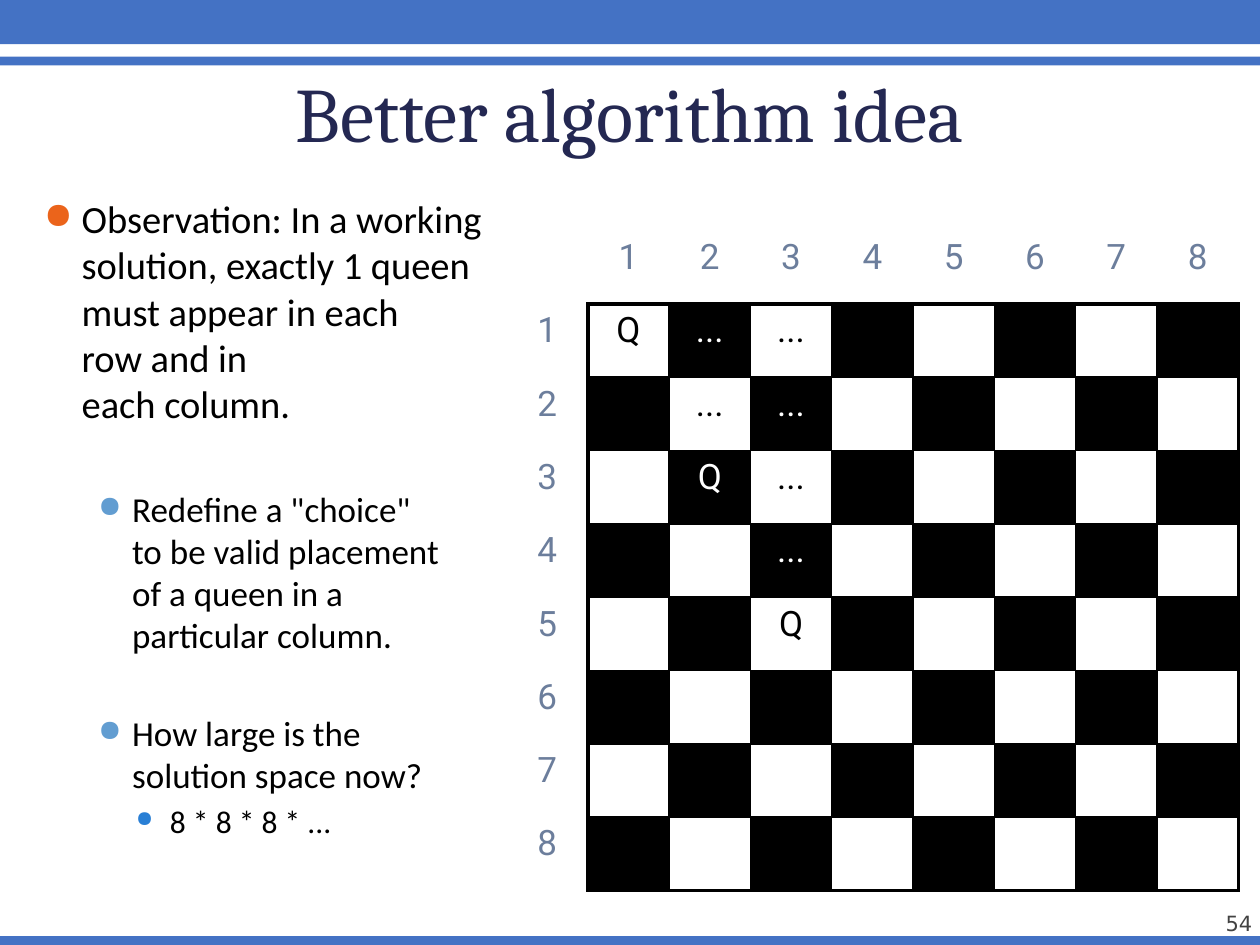
from lxml import etree
from pptx import Presentation
from pptx.dml.color import RGBColor
from pptx.enum import shapes, text
from pptx.oxml import ns
from pptx.util import Inches, Pt

TITLE = "Better algorithm idea"
PAGE_NUMBER = "54"
# level, space before in points, text
POINTS = [
    (0, 0, "Observation: In a working\nsolution, exactly 1 queen\n"
           "must appear in each\nrow and in\neach column."),
    (1, 35, 'Redefine a "choice"\nto be valid placement\n'
            "of a queen in a\nparticular column."),
    (1, 32, "How large is the\nsolution space now?"),
    (2, 3.6, "8 * 8 * 8 * ..."),
]
BOARD_SIZE = 8
# (row, column): mark
MARKS = {
    (1, 1): "Q", (1, 2): "...", (1, 3): "...",
    (2, 2): "...", (2, 3): "...",
    (3, 2): "Q", (3, 3): "...",
    (4, 3): "...",
    (5, 3): "Q",
}
BARS = [(0, -0.03, 0.38), (-0.02, 0.45, 0.07), (-0.02, 7.43, 0.07)]  # left, top, height

THEME = {
    "bar": "4472C4",
    "dark": "000000",
    "light": "FFFFFF",
    "title": ("Cambria", 44, "242852"),
    "number": ("DejaVu Sans", 12, "424242"),
    "label": ("Roboto", 20, "6C7E9C"),
    "board_edge": 2.25,
    "board_line": 1,
    # text size, left indent, hanging indent, bullet colour, bullet percent
    "levels": [
        (22, 0.3, 0.3, "EB641B", 95),
        (20, 0.7, 0.27, "629DD1", 85),
        (18, 1.0, 0.27, "297FD5", 70),
    ],
}


def style(paragraph, name, size, colour, alignment):
    paragraph.font.name = name
    paragraph.font.size = Pt(size)
    paragraph.font.color.rgb = RGBColor.from_string(colour)
    paragraph.alignment = alignment


def set_insets(frame, left, top, right, bottom):
    frame.margin_left, frame.margin_top = Inches(left), Inches(top)
    frame.margin_right, frame.margin_bottom = Inches(right), Inches(bottom)


def place(shape, left, top, width, height):
    shape.left, shape.top = Inches(left), Inches(top)
    shape.width, shape.height = Inches(width), Inches(height)


def add_bullet(paragraph, indent, hanging, colour, percent):
    properties = paragraph._p.get_or_add_pPr()
    properties.set("marL", str(Inches(indent)))
    properties.set("indent", str(-Inches(hanging)))
    bullet_colour = etree.SubElement(properties, ns.qn("a:buClr"))
    etree.SubElement(bullet_colour, ns.qn("a:srgbClr"), val=colour)
    etree.SubElement(properties, ns.qn("a:buSzPct"), val=str(percent * 1000))
    etree.SubElement(properties, ns.qn("a:buChar"), char="●")


def add_borders(cell, widths):
    """Set left, right, top and bottom borders; a width of 0 means no line."""
    properties = cell._tc.get_or_add_tcPr()
    for position, (side, width) in enumerate(zip("LRTB", widths)):
        line = etree.Element(ns.qn(f"a:ln{side}"), w=str(Pt(width)))
        if width:
            fill = etree.SubElement(line, ns.qn("a:solidFill"))
            etree.SubElement(fill, ns.qn("a:srgbClr"), val=THEME["dark"])
        else:
            etree.SubElement(line, ns.qn("a:noFill"))
        properties.insert(position, line)


def line_width(edge, on_board):
    """Width of grid line number edge, which lies before index edge."""
    if not on_board or edge == 0:
        return 0
    return THEME["board_edge" if edge in (1, BOARD_SIZE + 1) else "board_line"]


def add_frame(slide):
    for left, top, height in BARS:
        bar = slide.shapes.add_shape(shapes.MSO_SHAPE.RECTANGLE, Inches(left),
                                     Inches(top), Inches(10.02), Inches(height))
        bar.shadow.inherit = False
        bar.fill.solid()
        bar.fill.fore_color.rgb = RGBColor.from_string(THEME["bar"])
        bar.line.fill.background()
    number = slide.shapes.add_textbox(Inches(9.11), Inches(7.03), Inches(0.83), Inches(0.4))
    frame = number.text_frame
    frame.word_wrap = True
    frame.vertical_anchor = text.MSO_ANCHOR.BOTTOM
    set_insets(frame, 0, 0, 0, 0)
    frame.text = PAGE_NUMBER
    style(frame.paragraphs[0], *THEME["number"], text.PP_ALIGN.RIGHT)


def add_title(slide):
    title = slide.shapes.title
    place(title, 0.5, 0.48, 9, 0.77)
    frame = title.text_frame
    frame.text = TITLE
    frame.auto_size = text.MSO_AUTO_SIZE.NONE
    frame.vertical_anchor = text.MSO_ANCHOR.BOTTOM
    set_insets(frame, 0, 0.05, 0, 0)
    style(frame.paragraphs[0], *THEME["title"], text.PP_ALIGN.CENTER)


def add_points(slide):
    body = slide.shapes.add_textbox(Inches(0.25), Inches(1.5), Inches(9.75), Inches(5.67))
    frame = body.text_frame
    frame.word_wrap = True
    for index, (level, space, words) in enumerate(POINTS):
        paragraph = frame.add_paragraph() if index else frame.paragraphs[0]
        size, *bullet = THEME["levels"][level]
        paragraph.text = words.replace("\n", "\v")
        paragraph.level = level
        paragraph.space_before = Pt(space)
        style(paragraph, "Calibri", size, THEME["dark"], text.PP_ALIGN.LEFT)
        add_bullet(paragraph, *bullet)


def add_board(slide):
    count = BOARD_SIZE + 1
    table = slide.shapes.add_table(count, count, Inches(4.02), Inches(1.83),
                                   Inches(5.81), Inches(5.24)).table
    table.first_row = table.horz_banding = False
    for row in range(count):
        for column in range(count):
            cell = table.cell(row, column)
            on_board = row > 0 and column > 0
            is_dark = on_board and (row + column) % 2 == 1
            name, size, colour = THEME["label"]
            if on_board:
                words = MARKS.get((row, column), "")
                colour = THEME["light" if is_dark else "dark"]
            else:
                words = str(row or column or "")
            cell.text = words
            style(cell.text_frame.paragraphs[0], name, size, colour, text.PP_ALIGN.CENTER)
            if is_dark:
                cell.fill.solid()
                cell.fill.fore_color.rgb = RGBColor.from_string(THEME["dark"])
            else:
                cell.fill.background()
            add_borders(cell, [line_width(column, row > 0), line_width(column + 1, row > 0),
                               line_width(row, column > 0), line_width(row + 1, column > 0)])


def main():
    presentation = Presentation()
    presentation.slide_width, presentation.slide_height = Inches(10), Inches(7.5)
    slide = presentation.slides.add_slide(presentation.slide_layouts[5])
    add_frame(slide)
    add_title(slide)
    add_points(slide)
    add_board(slide)
    presentation.save("out.pptx")


if __name__ == "__main__":
    main()
